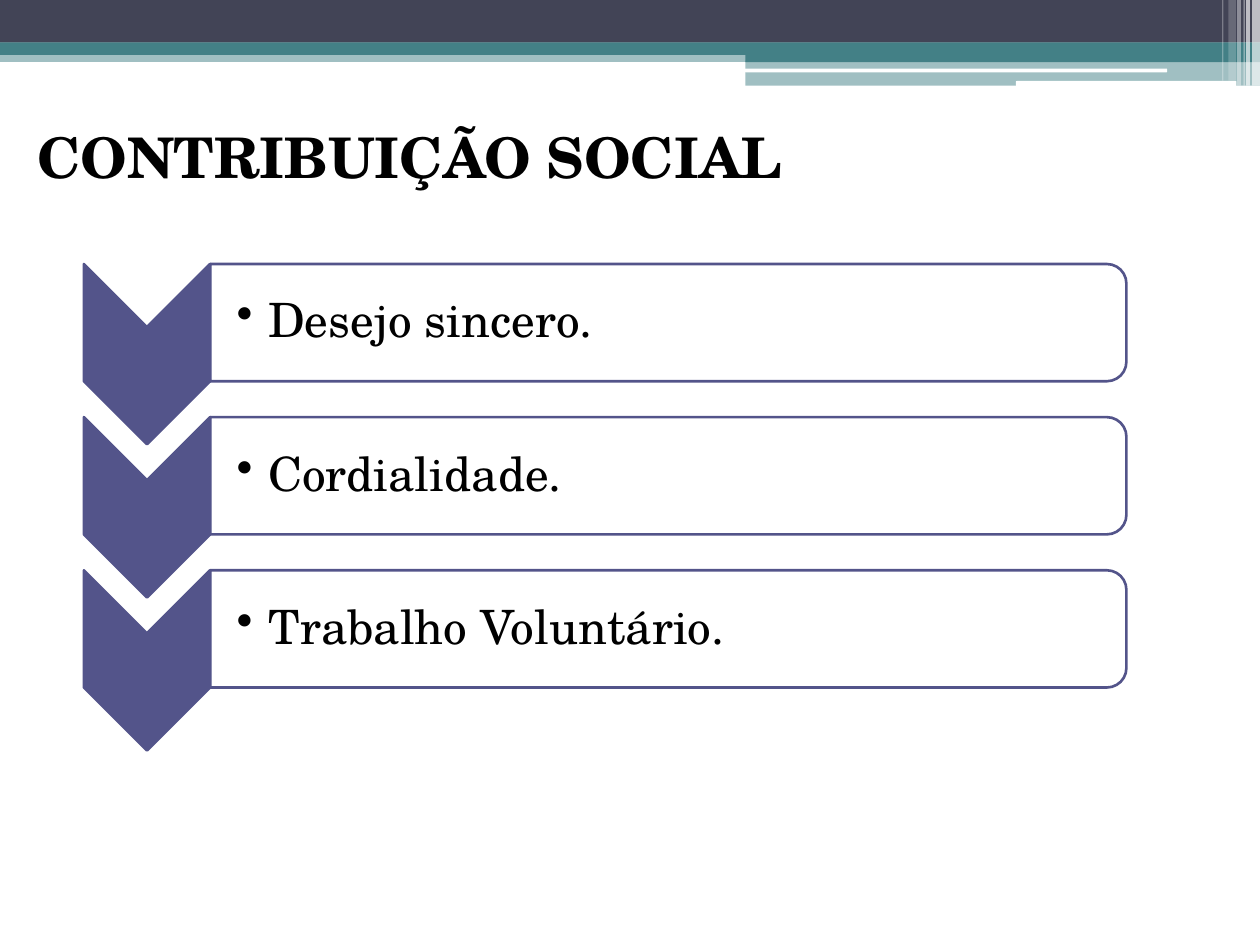
from dataclasses import dataclass

import lxml.etree
import pptx
import pptx.dml.color
import pptx.enum.shapes
import pptx.enum.text
import pptx.oxml.ns
import pptx.util
from pptx.util import Pt

FONT = "TeX Gyre Schola"
NAVY, TEAL, INDIGO, WHITE, BLACK = "424456", "438086", "53548A", "FFFFFF", "000000"
SHAPES = pptx.enum.shapes.MSO_SHAPE
MIDDLE = pptx.enum.text.MSO_ANCHOR.MIDDLE
TITLE = "CONTRIBUIÇÃO SOCIAL"
ITEMS = ["Desejo sincero.", "Cordialidade.", "Trabalho Voluntário."]
ROW_PITCH = 87.5


@dataclass
class Bar:
    left: float
    top: float
    width: float
    height: float
    color: str
    opacity: int = 100
    rounded: bool = False


BARS = [
    Bar(0, 28.8, 720, 6.6, TEAL, 50),
    Bar(0, 0, 720, 24.4, NAVY),
    Bar(0, 24.2, 720, 7.2, TEAL),
    Bar(426, 28.3, 294, 7.2, TEAL),
    Bar(426, 34.7, 294, 14.2, TEAL, 50),
    Bar(425.7, 39.2, 241.2, 2.16, WHITE, rounded=True),
    Bar(580.5, 46.3, 126, 2.88, WHITE, rounded=True),
    Bar(715.5, 0, 4.5, 48.9, WHITE, 65),
    Bar(712.1, 0, 2.16, 48.9, WHITE, 65),
    Bar(710.6, 0, 0.72, 48.9, WHITE, 60),
    Bar(707, 0, 2.16, 48.9, WHITE, 40),
    Bar(702, 0, 4.3, 46.1, WHITE, 20),
    Bar(698.4, 0, 0.72, 46.1, WHITE, 30),
]


def rgb(color: str) -> pptx.dml.color.RGBColor:
    return pptx.dml.color.RGBColor.from_string(color)


def fill_shape(shape, color: str, opacity: int = 100) -> None:
    shape.shadow.inherit = False
    shape.fill.solid()
    shape.fill.fore_color.rgb = rgb(color)
    if opacity < 100:
        tag = pptx.oxml.ns.qn
        color_element = shape.element.spPr.find(tag("a:solidFill")).find(tag("a:srgbClr"))
        lxml.etree.SubElement(color_element, tag("a:alpha")).set("val", str(opacity * 1000))


def format_runs(paragraph, size: float, bold: bool = False) -> None:
    for run in paragraph.runs:
        run.font.name = FONT
        run.font.size = Pt(size)
        run.font.bold = bold
        run.font.color.rgb = rgb(BLACK)


def draw_bar(slide, bar: Bar) -> None:
    kind = SHAPES.ROUNDED_RECTANGLE if bar.rounded else SHAPES.RECTANGLE
    shape = slide.shapes.add_shape(kind, Pt(bar.left), Pt(bar.top), Pt(bar.width), Pt(bar.height))
    fill_shape(shape, bar.color, bar.opacity)
    shape.line.fill.background()


def draw_turned(slide, kind, center_x: float, center_y: float, width: float,
                height: float, color: str, opacity: int = 100) -> None:
    shape = slide.shapes.add_shape(kind, Pt(center_x - width / 2), Pt(center_y - height / 2),
                                   Pt(width), Pt(height))
    shape.rotation = 90
    fill_shape(shape, color, opacity)
    shape.line.color.rgb = rgb(INDIGO)
    shape.line.width = Pt(1.5)


def draw_item(slide, text: str, offset: float) -> None:
    draw_turned(slide, SHAPES.CHEVRON, 84, 202.4 + offset, 103, 72.1, INDIGO)
    draw_turned(slide, SHAPES.ROUND_2_SAME_RECTANGLE, 381.9, 184.4 + offset, 67, 523.5, WHITE, 90)
    box = slide.shapes.add_textbox(Pt(120.1), Pt(154.1 + offset), Pt(520), Pt(60.5))
    frame = box.text_frame
    frame.word_wrap = True
    frame.vertical_anchor = MIDDLE
    frame.margin_left = Pt(15.1)
    frame.margin_top = frame.margin_right = frame.margin_bottom = Pt(1.4)
    frame.text = text
    paragraph = frame.paragraphs[0]
    paragraph.level = 1
    paragraph.line_spacing = 0.9
    paragraph.space_after = Pt(4)
    properties = paragraph._p.get_or_add_pPr()
    properties.set("marL", str(Pt(18)))
    properties.set("indent", str(-Pt(18)))
    bullet = lxml.etree.SubElement(properties, pptx.oxml.ns.qn("a:buChar"))
    bullet.set("char", "•")
    format_runs(paragraph, 27)


def draw_title(slide) -> None:
    title = slide.shapes.title
    title.left, title.top, title.width, title.height = Pt(14.2), Pt(66.3), Pt(698), Pt(46)
    frame = title.text_frame
    frame.text = TITLE
    frame.word_wrap = True
    frame.vertical_anchor = MIDDLE
    paragraph = frame.paragraphs[0]
    paragraph.alignment = pptx.enum.text.PP_ALIGN.LEFT
    format_runs(paragraph, 32, bold=True)


def main() -> None:
    presentation = pptx.Presentation()
    presentation.slide_width = Pt(720)
    presentation.slide_height = Pt(540)
    slide = presentation.slides.add_slide(presentation.slide_layouts.get_by_name("Title Only"))
    for bar in BARS:
        draw_bar(slide, bar)
    draw_title(slide)
    for index, text in enumerate(ITEMS):
        draw_item(slide, text, index * ROW_PITCH)
    presentation.save("out.pptx")


if __name__ == "__main__":
    main()
